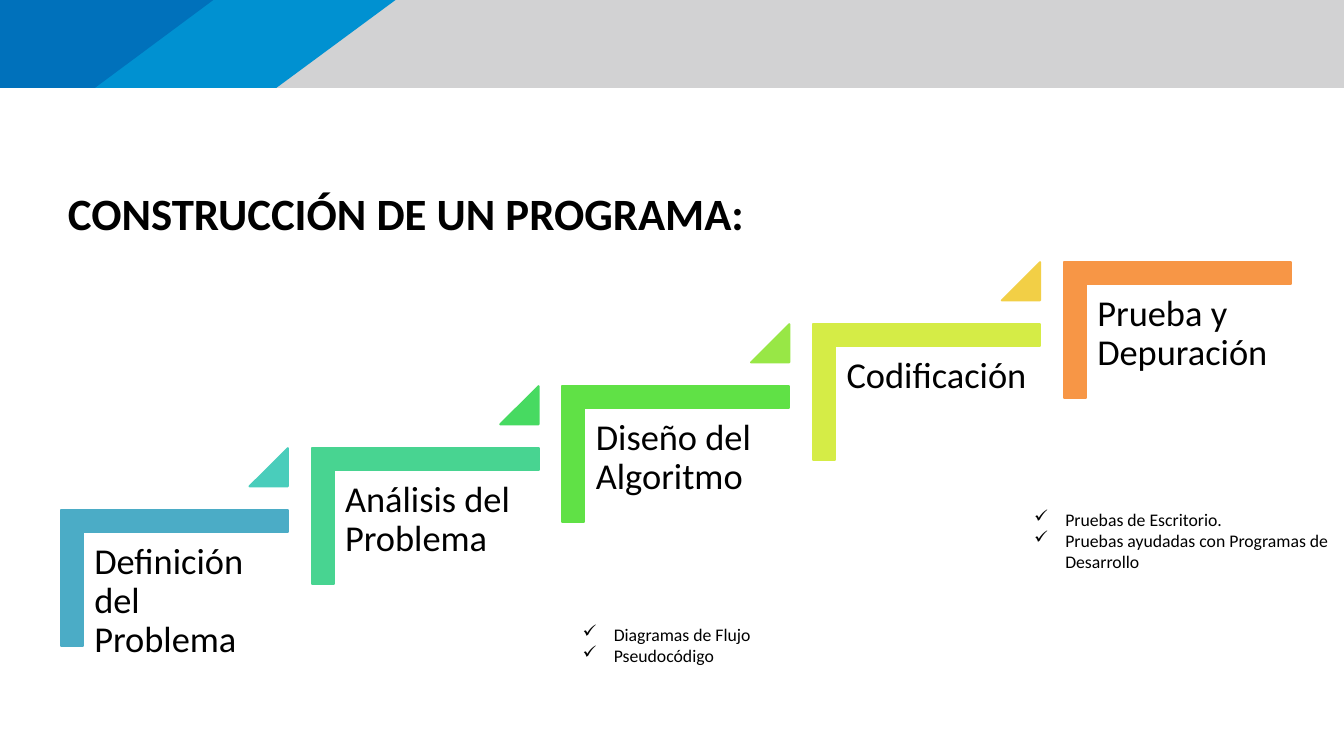
from lxml.etree import SubElement
from pptx import Presentation
from pptx.dml.color import RGBColor
from pptx.enum.shapes import MSO_SHAPE as Preset
from pptx.enum.text import MSO_AUTO_SIZE as AutoSize
from pptx.oxml.ns import qn
from pptx.util import Inches, Pt

SLIDE_WIDTH, SLIDE_HEIGHT = 18.96, 10.67
BANNER_HEIGHT = 1.24
STEP_RUN = 14.15 / 4
STEP_RISE = 3.5 / 4
FIRST_LEFT, FIRST_TOP = 0.86, 7.2
CORNER_WIDTH, CORNER_HEIGHT = 3.2, 1.92
TRIANGLE_SIDE = 0.54
HANGING_INDENT = 0.44

BANNER_BLUES = [("0091D1", 5.58, 3.9), ("0071BB", 3.01, 1.34)]
STEPS = [
    ("Definición del Problema", "4BACC6", "49CDBB"),
    ("Análisis del Problema", "48D491", "47DA61"),
    ("Diseño del Algoritmo", "60E146", "98E746"),
    ("Codificación", "D5EC46", "F2CF46"),
    ("Prueba y Depuración", "F79646", None),
]
CHECKLISTS = [
    ((8.12, 8.75, 3.7, 0.71), ["Diagramas de Flujo", "Pseudocódigo"]),
    ((14.49, 7.13, 4.44, 1.01),
     ["Pruebas de Escritorio.", "Pruebas ayudadas con Programas de Desarrollo"]),
]


def color(value):
    return RGBColor.from_string(value)


def paint(shape, fill, line_width=0):
    shape.shadow.inherit = False
    shape.fill.solid()
    shape.fill.fore_color.rgb = color(fill)
    if line_width:
        shape.line.color.rgb = color(fill)
        shape.line.width = Pt(line_width)
    else:
        shape.line.fill.background()


def add_preset(slide, preset, box, fill, adjustments=(), rotation=0, line_width=0):
    shape = slide.shapes.add_shape(preset, *map(Inches, box))
    for index, adjustment in enumerate(adjustments):
        shape.adjustments[index] = adjustment
    shape.rotation = rotation
    paint(shape, fill, line_width)


def add_polygon(slide, points, fill):
    start, *others = [(Inches(x), Inches(y)) for x, y in points]
    builder = slide.shapes.build_freeform(*start)
    builder.add_line_segments(others, close=True)
    paint(builder.convert_to_shape(), fill)


def add_check(paragraph):
    properties = paragraph._p.get_or_add_pPr()
    properties.set("marL", str(Inches(HANGING_INDENT)))
    properties.set("indent", str(-Inches(HANGING_INDENT)))
    SubElement(properties, qn("a:buChar")).set("char", "✓")


def add_text(slide, box, lines, size, bold=False, inset=None, spacing=None,
             checked=False, grow=False):
    frame = slide.shapes.add_textbox(*map(Inches, box)).text_frame
    frame.word_wrap = True
    frame.auto_size = AutoSize.SHAPE_TO_FIT_TEXT if grow else AutoSize.NONE
    if inset is not None:
        frame.margin_left = frame.margin_right = Inches(inset)
        frame.margin_top = frame.margin_bottom = Inches(inset)
    for index, line in enumerate(lines):
        paragraph = frame.add_paragraph() if index else frame.paragraphs[0]
        paragraph.line_spacing = spacing
        if checked:
            add_check(paragraph)
        run = paragraph.add_run()
        run.text = line
        run.font.name = "Calibri"
        run.font.size = Pt(size)
        run.font.bold = bold
        run.font.color.rgb = color("000000")


def add_banner(slide):
    add_preset(slide, Preset.RECTANGLE, (0, 0, SLIDE_WIDTH, BANNER_HEIGHT), "D2D2D3")
    for fill, top_width, bottom_width in BANNER_BLUES:
        points = [(0, 0), (top_width, 0), (bottom_width, BANNER_HEIGHT), (0, BANNER_HEIGHT)]
        add_polygon(slide, points, fill)


def add_step(slide, index, label, corner_fill, triangle_fill):
    left = FIRST_LEFT + index * STEP_RUN
    top = FIRST_TOP - index * STEP_RISE
    turn = (CORNER_WIDTH - CORNER_HEIGHT) / 2
    add_preset(slide, Preset.CORNER, (left + turn, top - turn, CORNER_HEIGHT, CORNER_WIDTH),
               corner_fill, adjustments=(0.16, 0.16), rotation=90, line_width=2)
    add_text(slide, (left + 0.32, top + 0.31, 2.89, 2.53), [label], 37,
             inset=0.15, spacing=0.9)
    if triangle_fill:
        triangle_box = (left + CORNER_WIDTH - TRIANGLE_SIDE, top - STEP_RISE,
                        TRIANGLE_SIDE, TRIANGLE_SIDE)
        add_preset(slide, Preset.ISOSCELES_TRIANGLE, triangle_box, triangle_fill,
                   adjustments=(1,), line_width=2)


def main():
    presentation = Presentation()
    presentation.slide_width = Inches(SLIDE_WIDTH)
    presentation.slide_height = Inches(SLIDE_HEIGHT)
    slide = presentation.slides.add_slide(presentation.slide_layouts[6])
    add_banner(slide)
    add_text(slide, (0.86, 2.57, 10.99, 0.87), ["CONSTRUCCIÓN DE UN PROGRAMA:"], 45.5,
             bold=True, grow=True)
    for index, step in enumerate(STEPS):
        add_step(slide, index, *step)
    for box, lines in CHECKLISTS:
        add_text(slide, box, lines, 18, checked=True, grow=True)
    presentation.save("out.pptx")


if __name__ == "__main__":
    main()
